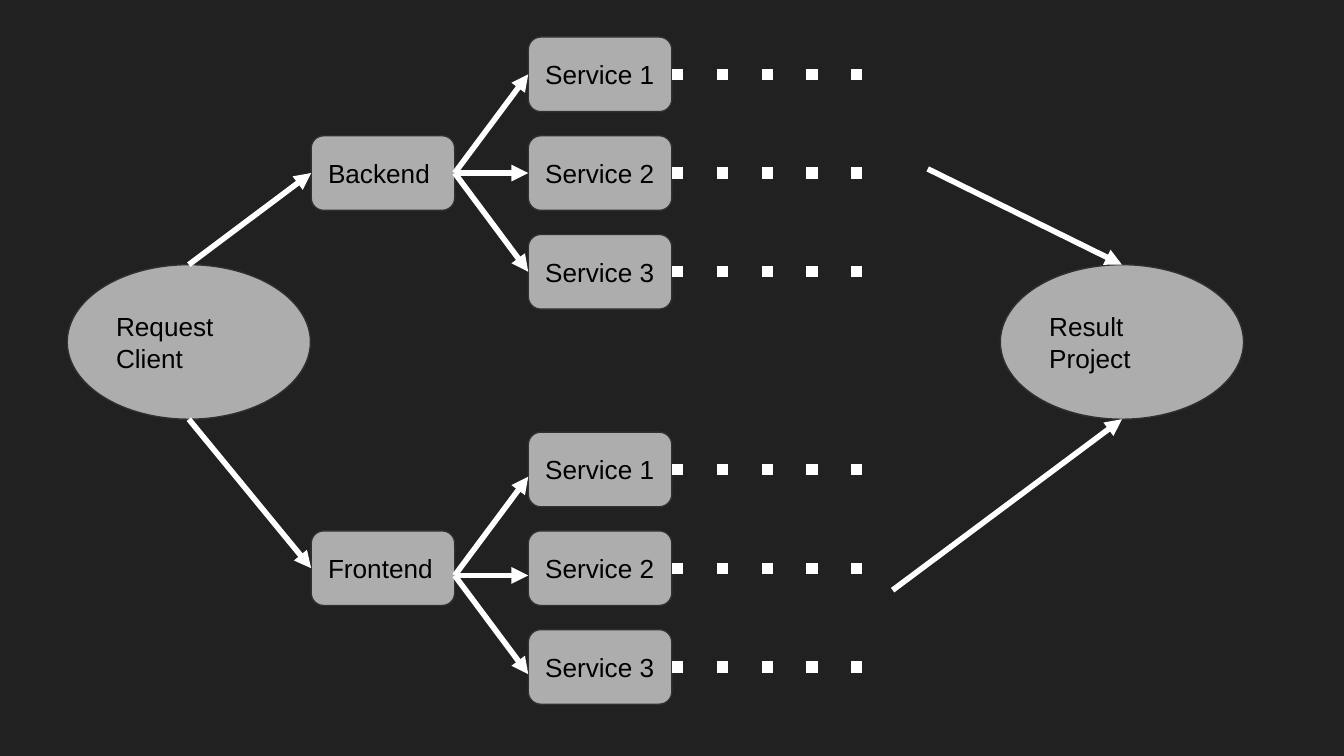
"""Builds a slide showing a client request fanning out to backend and frontend services."""
from pptx import Presentation
from pptx.dml.color import RGBColor
from pptx.enum.shapes import MSO_CONNECTOR, MSO_SHAPE
from pptx.enum.text import MSO_ANCHOR, PP_ALIGN
from pptx.oxml.ns import qn
from pptx.util import Pt
from lxml import etree

ELLIPSE, BOX = MSO_SHAPE.OVAL, MSO_SHAPE.ROUNDED_RECTANGLE
STRAIGHT = MSO_CONNECTOR.STRAIGHT
MIDDLE, LEFT = MSO_ANCHOR.MIDDLE, PP_ALIGN.LEFT

DARK = RGBColor(0x21, 0x21, 0x21)
GREY = RGBColor(0xAD, 0xAD, 0xAD)
OUTLINE = RGBColor(0x30, 0x30, 0x30)
BLACK = RGBColor(0, 0, 0)
WHITE = RGBColor(0xFF, 0xFF, 0xFF)


class Diagram:
    """Holds the style and the slide being drawn."""

    inset = Pt(7.2)
    frame_format = {
        "margin_left": inset, "margin_right": inset,
        "margin_top": inset, "margin_bottom": inset,
        "vertical_anchor": MIDDLE, "word_wrap": True,
    }
    font_format = {"name": "Arial", "size": Pt(14)}

    def __init__(self, slide):
        """Sets the slide and its background."""
        self.slide = slide
        slide.background.fill.solid()
        slide.background.fill.fore_color.rgb = DARK

    def node(self, preset, label, left, top, width, height):
        """Adds a labelled shape."""
        node = self.slide.shapes.add_shape(
            preset, Pt(left), Pt(top), Pt(width), Pt(height))
        node.shadow.inherit = False
        node.fill.solid()
        node.fill.fore_color.rgb = GREY
        node.line.color.rgb = OUTLINE
        node.line.width = Pt(0.75)
        frame = node.text_frame
        for name, value in self.frame_format.items():
            setattr(frame, name, value)
        paragraph = frame.paragraphs[0]
        paragraph.alignment = LEFT
        run = paragraph.add_run()
        run.text = label
        for name, value in self.font_format.items():
            setattr(run.font, name, value)
        run.font.color.rgb = BLACK

    def link(self, start, end, weight, tag, value):
        """Adds a white line with one extra line property."""
        link = self.slide.shapes.add_connector(
            STRAIGHT, *(Pt(length) for length in (*start, *end)))
        link.line.color.rgb = WHITE
        link.line.width = Pt(weight)
        properties = link.element.find(qn("p:spPr"))
        etree.SubElement(properties.find(qn("a:ln")), qn(tag), value)
        etree.SubElement(properties, qn("a:effectLst"))

    def arrow(self, start, end):
        """Adds an arrow."""
        self.link(start, end, 3, "a:tailEnd", {"type": "triangle"})

    def dots(self, start, end):
        """Adds a dotted line."""
        self.link(start, end, 6, "a:prstDash", {"val": "dot"})


presentation = Presentation()
presentation.slide_width, presentation.slide_height = Pt(720), Pt(405)
diagram = Diagram(presentation.slides.add_slide(presentation.slide_layouts[6]))

OVAL_TOP, OVAL_WIDTH, OVAL_HEIGHT = 141.8, 130.3, 82.8
OVAL_BOTTOM = OVAL_TOP + OVAL_HEIGHT
CLIENT_LEFT, RESULT_LEFT = 36, 535.9
CLIENT_X, RESULT_X = (left + OVAL_WIDTH / 2 for left in (CLIENT_LEFT, RESULT_LEFT))
BOX_WIDTH, BOX_HEIGHT, ROW_STEP = 76.9, 40, 52.9
TIER_LEFT, SERVICE_LEFT = 166.7, 283
TIER_RIGHT, SERVICE_RIGHT = TIER_LEFT + BOX_WIDTH, SERVICE_LEFT + BOX_WIDTH
DOTS_END = 468.7

diagram.node(ELLIPSE, "Request Client", CLIENT_LEFT, OVAL_TOP, OVAL_WIDTH, OVAL_HEIGHT)
diagram.node(ELLIPSE, "Result Project", RESULT_LEFT, OVAL_TOP, OVAL_WIDTH, OVAL_HEIGHT)

TIERS = [
    ("Backend", 72.7, OVAL_TOP, 92.7, (497, 90.5)),
    ("Frontend", 284.4, OVAL_BOTTOM, 308.3, (478.2, 316.2)),
]
for tier, tier_top, oval_edge, fan_y, result_start in TIERS:
    diagram.node(BOX, tier, TIER_LEFT, tier_top, BOX_WIDTH, BOX_HEIGHT)
    tier_y = tier_top + BOX_HEIGHT / 2
    diagram.arrow((CLIENT_X, oval_edge), (TIER_LEFT, tier_y))
    diagram.arrow(result_start, (RESULT_X, oval_edge))
    for number in (1, 2, 3):
        offset = (number - 2) * ROW_STEP
        service_y = tier_y + offset
        diagram.node(BOX, f"Service {number}", SERVICE_LEFT, tier_top + offset,
                     BOX_WIDTH, BOX_HEIGHT)
        diagram.dots((SERVICE_RIGHT, service_y), (DOTS_END, service_y))
        diagram.arrow((TIER_RIGHT, fan_y), (SERVICE_LEFT, fan_y + offset))

presentation.save("out.pptx")
